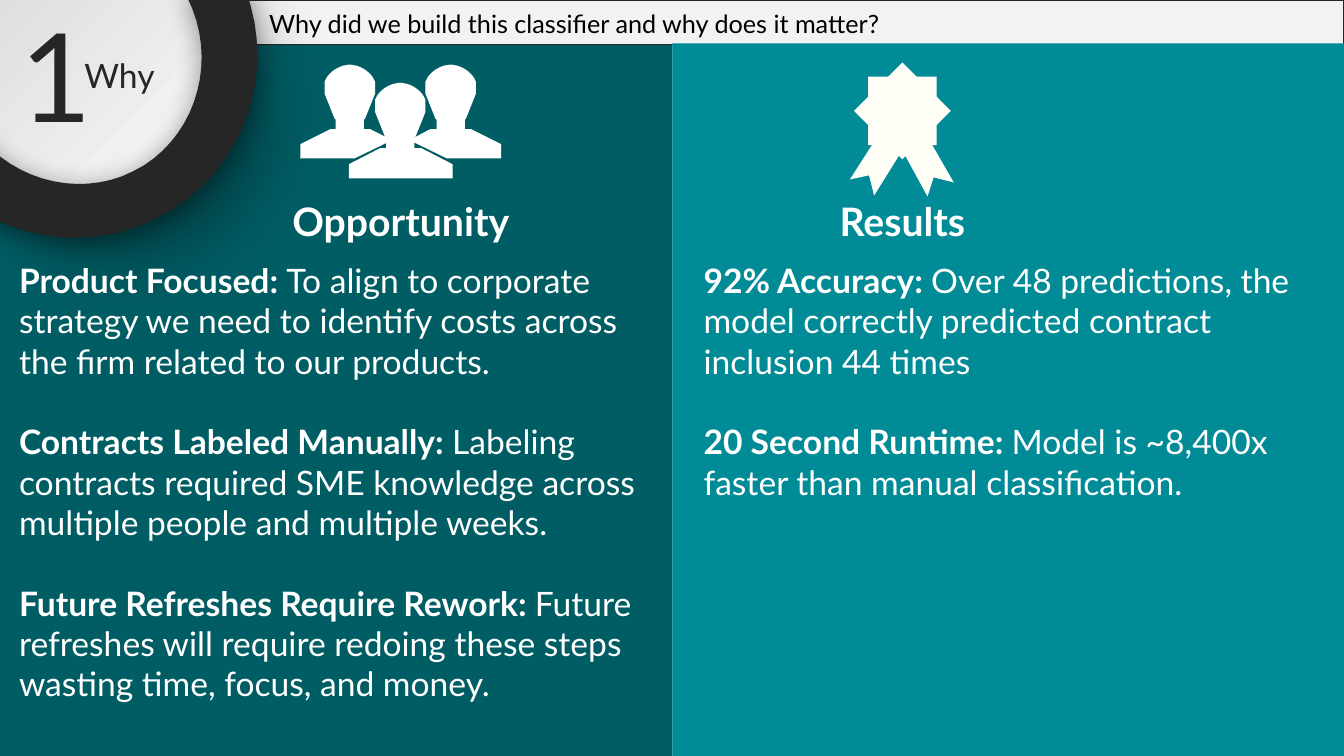
from pptx import Presentation
from pptx.dml.color import RGBColor
from pptx.enum.shapes import MSO_SHAPE
from pptx.enum.text import MSO_ANCHOR, MSO_AUTO_SIZE, PP_ALIGN
from pptx.oxml import parse_xml
from pptx.oxml.ns import nsdecls, qn
from pptx.util import Inches, Pt

FONT = "Lato"
BACKGROUND = RGBColor(0xF7, 0xF7, 0xF7)
DARK_TEAL = RGBColor(0x00, 0x5D, 0x64)
TEAL = RGBColor(0x00, 0x8B, 0x96)
LIGHT = RGBColor(0xF2, 0xF2, 0xF2)
GREY = RGBColor(0x80, 0x80, 0x80)
CHARCOAL = RGBColor(0x26, 0x26, 0x26)
BLACK = RGBColor(0, 0, 0)
WHITE = RGBColor(0xFF, 0xFF, 0xFF)
IVORY = RGBColor(0xFF, 0xFE, 0xF7)

OPPORTUNITY = [
    ("Product Focused: ", "To align to corporate strategy we need to identify "
     "costs across the firm related to our products."),
    ("Contracts Labeled Manually: ", "Labeling contracts required SME knowledge "
     "across multiple people and multiple weeks."),
    ("Future Refreshes Require Rework: ", "Future refreshes will require redoing "
     "these steps wasting time, focus, and money."),
]
RESULTS = [
    ("92% Accuracy: ", "Over 48 predictions, the model correctly predicted "
     "contract inclusion 44 times"),
    ("20 Second Runtime: ", "Model is ~8,400x faster than manual classification."),
]

# Outlines: a pair is a line to that point, six numbers are a Bezier curve
RING = [
    (1.56, 2.16), (1.39, 2.24), (0.53, 2.57, -0.46, 2.2, -0.88, 1.36),
    (-0.71, 1.1, -0.71, 1.1, -0.37, 1.1), (-0.07, 1.7, 0.62, 1.97, 1.21, 1.75),
    (1.32, 1.7), (1.43, 1.64), (1.96, 1.3, 2.16, 0.58, 1.86, -0.02),
    (2.06, -0.3, 2.05, -0.28, 2.36, -0.27), (2.78, 0.57, 2.49, 1.58, 1.72, 2.07),
]
RIBBON_TAILS = [
    [(8.9, 1.4), (9.15, 1.27), (9.46, 1.81), (9.26, 1.76), (9.2, 1.95)],
    [(8.77, 1.25), (9, 1.41), (8.67, 1.94), (8.62, 1.74), (8.43, 1.78)],
]
# Head outline, relative to the middle of its top
HEAD = [
    (0, 0), (0.06, 0.01), (0.13, 0.03, 0.19, 0.07, 0.23, 0.13), (0.25, 0.17),
    (0.25, 0.29), (0.15, 0.54), (0.13, 0.55, 0.09, 0.57, 0.06, 0.58),
    (0, 0.59), (-0.06, 0.58), (-0.09, 0.57, -0.13, 0.55, -0.15, 0.54),
    (-0.25, 0.29), (-0.25, 0.17), (-0.23, 0.13),
    (-0.19, 0.07, -0.13, 0.03, -0.06, 0.01),
]
# Middle of the head, its top, shoulders
PEOPLE = [
    (4.47, 0.64, [(4.27, 1.28), (4.67, 1.28), (4.97, 1.43), (4.97, 1.57),
                  (4.43, 1.57), (4.06, 1.39)]),
    (3.47, 0.64, [(3.28, 1.28), (3.67, 1.28), (3.89, 1.39), (3.52, 1.57),
                  (2.98, 1.57), (2.98, 1.43)]),
    (3.97, 0.82, [(3.77, 1.47), (4.18, 1.47), (4.49, 1.63), (4.49, 1.77),
                  (3.46, 1.77), (3.46, 1.63)]),
]


def paint(sp, fill, line=None, width=1):
    sp.shadow.inherit = False
    sp.fill.solid()
    sp.fill.fore_color.rgb = fill
    if line is None:
        sp.line.fill.background()
    else:
        sp.line.color.rgb = line
        sp.line.width = Pt(width)
    return sp


def add_shape(s, kind, box, fill, line=None, width=1):
    sp = s.shapes.add_shape(kind, *map(Inches, box))
    return paint(sp, fill, line, width)


def flatten(outline, steps=16):
    points = [outline[0]]
    for part in outline[1:]:
        if len(part) == 2:
            points.append(part)
            continue
        start, c1, c2, end = points[-1], part[:2], part[2:4], part[4:]
        for i in range(1, steps + 1):
            t = i / steps
            u = 1 - t
            points.append(tuple(
                u**3 * a + 3 * u * u * t * b + 3 * u * t * t * c + t**3 * d
                for a, b, c, d in zip(start, c1, c2, end)))
    return points


def add_outline(s, outline, fill, dx=0, dy=0):
    points = [(Inches(x + dx), Inches(y + dy)) for x, y in flatten(outline)]
    builder = s.shapes.build_freeform(*points[0])
    builder.add_line_segments(points[1:], close=True)
    return paint(builder.convert_to_shape(), fill)


def add_shadow(sp, blur, distance, angle):
    effects = sp._element.spPr.find(qn("a:effectLst"))
    effects.append(parse_xml(
        f'<a:outerShdw {nsdecls("a")} blurRad="{Pt(blur)}" dist="{Pt(distance)}" '
        f'dir="{angle * 60000}" algn="ctr" rotWithShape="0">'
        '<a:srgbClr val="000000"><a:alpha val="40000"/></a:srgbClr></a:outerShdw>'))


def set_radial_fill(sp, stops):
    solid = sp._element.spPr.find(qn("a:solidFill"))
    gs = "".join(f'<a:gs pos="{pos * 1000}"><a:srgbClr val="{color}"/></a:gs>'
                 for pos, color in stops)
    solid.getparent().replace(solid, parse_xml(
        f'<a:gradFill {nsdecls("a")}><a:gsLst>{gs}</a:gsLst><a:path path="circle">'
        '<a:fillToRect l="100000" t="100000"/></a:path></a:gradFill>'))


def add_run(p, text, size, color, bold=False):
    r = p.add_run()
    r.text = text
    r.font.color.rgb = color
    for name, value in {"name": FONT, "size": Pt(size), "bold": bold}.items():
        setattr(r.font, name, value)


def add_text(s, box, text, size, color, bold=False, anchor=MSO_ANCHOR.TOP):
    tf = s.shapes.add_textbox(*map(Inches, box)).text_frame
    tf.word_wrap = True
    tf.vertical_anchor = anchor
    p = tf.paragraphs[0]
    p.alignment = PP_ALIGN.CENTER
    add_run(p, text, size, color, bold)


def add_points(s, box, points):
    tf = s.shapes.add_textbox(*map(Inches, box)).text_frame
    tf.word_wrap = True
    for i, (lead, detail) in enumerate(points):
        p = tf.add_paragraph() if i else tf.paragraphs[0]
        p.space_before = Pt(28.8 if i else 0)
        add_run(p, lead, 24, WHITE, True)
        add_run(p, detail, 24, WHITE)


def place_title(s, box, text):
    title = s.shapes.title
    for name, value in zip(("left", "top", "width", "height"), box):
        setattr(title, name, Inches(value))
    tf = title.text_frame
    formats = {"word_wrap": True, "auto_size": MSO_AUTO_SIZE.NONE,
               "vertical_anchor": MSO_ANCHOR.TOP}
    for name, value in formats.items():
        setattr(tf, name, value)
    p = tf.paragraphs[0]
    p.alignment = PP_ALIGN.LEFT
    add_run(p, text, 18, BLACK)
    title._element.getparent().append(title._element)  # bring to front


def add_badge(s):
    disc = add_shape(s, MSO_SHAPE.OVAL, (-0.53, -0.63, 2.75, 2.75), LIGHT, GREY, 2.5)
    set_radial_fill(disc, [(0, "F2F2F2"), (22, "F2F2F2"), (94, "D9D9D9")])
    add_shadow(disc, 58, 34, 45)
    add_text(s, (0.1, -0.06, 0.59, 1.58), "1", 88, CHARCOAL, anchor=MSO_ANCHOR.MIDDLE)
    add_text(s, (0.57, 0.49, 1.23, 0.5), "Why", 24, CHARCOAL, anchor=MSO_ANCHOR.MIDDLE)
    add_shadow(add_outline(s, RING, CHARCOAL), 19, 3, 90)


def add_award(s):
    for tail in RIBBON_TAILS:
        add_outline(s, tail, IVORY)
    for angle in (0, 45):
        square = add_shape(s, MSO_SHAPE.RECTANGLE, (8.61, 0.76, 0.68, 0.68), IVORY)
        square.rotation = angle


def add_person(s, middle, top, shoulders):
    add_shape(s, MSO_SHAPE.RECTANGLE, (middle - 0.14, top + 0.43, 0.28, 0.25), WHITE)
    add_outline(s, HEAD, WHITE, middle, top)
    add_outline(s, shoulders, WHITE)


def main():
    prs = Presentation()
    prs.slide_width, prs.slide_height = Inches(13.33), Inches(7.5)
    s = prs.slides.add_slide(prs.slide_layouts[5])
    s.background.fill.solid()
    s.background.fill.fore_color.rgb = BACKGROUND

    # Panels, title bar and badge
    add_shape(s, MSO_SHAPE.RECTANGLE, (0, 0.43, 6.67, 7.07), DARK_TEAL)
    add_shape(s, MSO_SHAPE.RECTANGLE, (0, 0, 13.33, 0.44), LIGHT, CHARCOAL)
    add_badge(s)
    place_title(s, (2.57, 0.03, 6.97, 0.4),
                "Why did we build this classifier and why does it matter?")
    add_shape(s, MSO_SHAPE.RECTANGLE, (6.67, 0.43, 6.67, 7.07), TEAL)

    # Headings and points
    add_text(s, (1.69, 1.91, 4.57, 0.57), "Opportunity", 28, WHITE, True)
    add_text(s, (6.85, 1.91, 4.2, 0.57), "Results", 28, WHITE, True)
    add_points(s, (0.09, 2.53, 6.31, 4.54), OPPORTUNITY)
    add_points(s, (6.88, 2.53, 6.31, 2.52), RESULTS)

    # Icons
    add_award(s)
    for person in PEOPLE:
        add_person(s, *person)

    prs.save("out.pptx")


if __name__ == "__main__":
    main()
